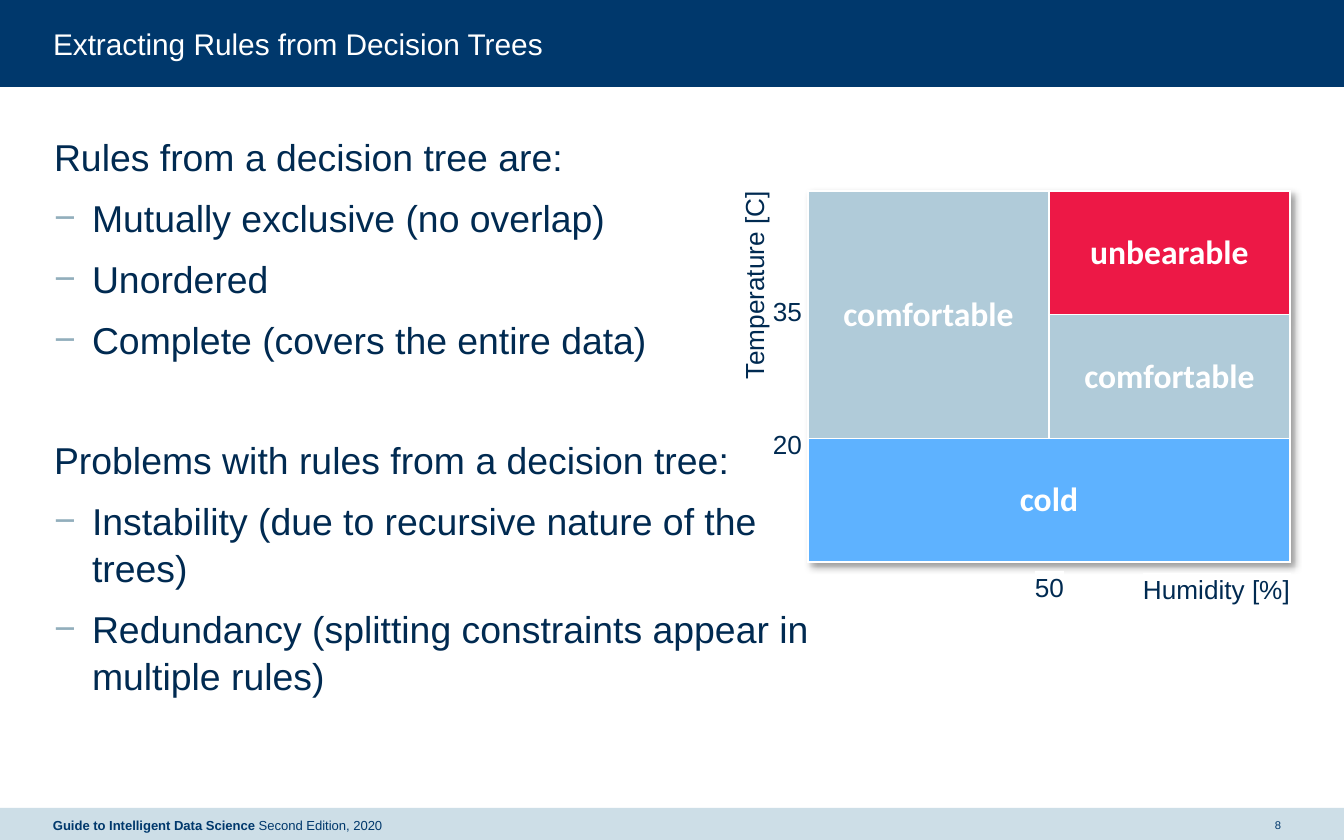
from lxml.etree import SubElement
from pptx import Presentation
from pptx.dml.color import RGBColor
from pptx.enum.shapes import MSO_SHAPE
from pptx.enum.text import MSO_ANCHOR, MSO_AUTO_SIZE, PP_ALIGN
from pptx.oxml import parse_xml
from pptx.oxml.ns import nsdecls, qn
from pptx.util import Pt

EMU_PER_PX = 914400 / 134.4
COLORS = {
    "navy": "00386C", "pale": "CDDEE7", "text": "002A51", "bullet": "92AEBC",
    "white": "FFFFFF", "comfortable": "B0CBD9", "unbearable": "ED1846", "cold": "5EB2FF",
}


def px(*values):
    return [round(value * EMU_PER_PX) for value in values]


def add_run(paragraph, text, size, color, bold=False, font="Arial"):
    run = paragraph.add_run()
    run.text = text
    run.font.name = font
    run.font.size = Pt(size)
    run.font.bold = bold
    run.font.color.rgb = RGBColor.from_string(COLORS[color])


presentation = Presentation()
presentation.slide_width, presentation.slide_height = px(1344, 840)
slide = presentation.slides.add_slide(presentation.slide_layouts[1])
shapes = slide.shapes
title, body = shapes.title, slide.placeholders[1]

# Header and footer bars, behind everything else
for top, height, color in [(0, 87, "navy"), (808, 32, "pale")]:
    bar = shapes.add_shape(MSO_SHAPE.RECTANGLE, *px(0, top, 1344, height))
    bar.shadow.inherit = False
    bar.fill.solid()
    bar.fill.fore_color.rgb = RGBColor.from_string(COLORS[color])
    bar.line.fill.background()
    shapes._spTree.insert(2, bar._element)

# Title and body placeholders
for placeholder, box in [(title, (53, 26, 1239, 36)), (body, (53, 132, 782, 633))]:
    placeholder.left, placeholder.top, placeholder.width, placeholder.height = px(*box)
    frame = placeholder.text_frame
    frame.margin_left = frame.margin_top = frame.margin_right = frame.margin_bottom = 0
    frame.vertical_anchor = MSO_ANCHOR.TOP
    frame.auto_size = MSO_AUTO_SIZE.NONE
    frame.word_wrap = True
heading = title.text_frame.paragraphs[0]
heading.alignment = PP_ALIGN.LEFT
add_run(heading, "Extracting Rules from Decision Trees", 16, "white")

# Body: (text, is a list item, space before in points)
lines = [
    ("Rules from a decision tree are:", False, 7.5),
    ("Mutually exclusive (no overlap)", True, 7.5),
    ("Unordered", True, 7.5),
    ("Complete (covers the entire data)", True, 7.5),
    ("Problems with rules from a decision tree:", False, 39),
    ("Instability (due to recursive nature of the trees)", True, 7.5),
    ("Redundancy (splitting constraints appear in multiple rules)", True, 7.5),
]
for index, (text, is_item, space_before) in enumerate(lines):
    frame = body.text_frame
    paragraph = frame.add_paragraph() if index else frame.paragraphs[0]
    paragraph.space_before = Pt(space_before)
    paragraph.line_spacing = 1.05
    properties = paragraph._p.get_or_add_pPr()
    margin, indent = px(39, -38) if is_item else px(1, 0)
    properties.set("marL", str(margin))
    properties.set("indent", str(indent))
    if is_item:
        bullet_color = SubElement(properties, qn("a:buClr"))
        SubElement(bullet_color, qn("a:srgbClr"), val=COLORS["bullet"])
        SubElement(properties, qn("a:buFont"), typeface="Arial")
        SubElement(properties, qn("a:buChar"), char="−")
    else:
        SubElement(properties, qn("a:buNone"))
    add_run(paragraph, text, 20, "text")

# Footer: book title and slide number
footers = [
    ((53, 808, 590, 34), PP_ALIGN.LEFT, 7,
     [("Guide to Intelligent Data Science ", True), ("Second Edition, 2020", False)]),
    ((1265, 808, 26, 34), PP_ALIGN.CENTER, 6, [("8", False)]),
]
for box, alignment, size, runs in footers:
    frame = shapes.add_textbox(*px(*box)).text_frame
    frame.margin_left = frame.margin_top = frame.margin_right = frame.margin_bottom = 0
    frame.vertical_anchor = MSO_ANCHOR.MIDDLE
    frame.word_wrap = True
    frame.paragraphs[0].alignment = alignment
    for text, bold in runs:
        add_run(frame.paragraphs[0], text, size, "navy", bold)

# Table of decision regions, with a soft shadow
table = shapes.add_table(3, 2, *px(808, 191, 482, 371)).table
table.first_row = table.horz_banding = False
table._tbl.tblPr.insert(0, parse_xml(
    f'<a:effectLst {nsdecls("a")}><a:outerShdw blurRad="50800" dist="38100" dir="2700000" '
    'algn="tl" rotWithShape="0"><a:srgbClr val="000000"><a:alpha val="40000"/></a:srgbClr>'
    '</a:outerShdw></a:effectLst>'))
table.cell(0, 0).merge(table.cell(1, 0))
table.cell(2, 0).merge(table.cell(2, 1))
regions = [["comfortable", "unbearable"], ["comfortable", "comfortable"], ["cold", "cold"]]
for row, names in enumerate(regions):
    for column, name in enumerate(names):
        cell = table.cell(row, column)
        for side in ("lnL", "lnR", "lnT", "lnB"):
            border = SubElement(cell._tc.get_or_add_tcPr(), qn(f"a:{side}"), w=str(Pt(1)))
            SubElement(SubElement(border, qn("a:solidFill")), qn("a:srgbClr"), val=COLORS["white"])
        cell.fill.solid()
        cell.fill.fore_color.rgb = RGBColor.from_string(COLORS[name])
        cell.vertical_anchor = MSO_ANCHOR.MIDDLE
        if not cell.is_spanned:
            cell.text_frame.paragraphs[0].alignment = PP_ALIGN.CENTER
            add_run(cell.text_frame.paragraphs[0], name, 18, "white", True, "Calibri")

# Axis labels: (text, left, top, width, rotation)
labels = [
    ("50", 1035, 571, 29, 0),
    ("Temperature [C]", 660, 269, 188, 270),
    ("Humidity [%]", 1143, 573, 148, 0),
    ("20", 773, 428, 29, 0),
    ("35", 773, 295, 29, 0),
]
for text, left, top, width, rotation in labels:
    label = shapes.add_shape(MSO_SHAPE.RECTANGLE, *px(left, top, width, 32))
    label.rotation = rotation
    label.shadow.inherit = False
    label.fill.solid()
    label.fill.fore_color.rgb = RGBColor.from_string(COLORS["white"])
    label.line.fill.background()
    frame = label.text_frame
    frame.margin_left = frame.margin_top = frame.margin_right = frame.margin_bottom = 0
    frame.vertical_anchor = MSO_ANCHOR.TOP
    frame.word_wrap = False
    frame.paragraphs[0].alignment = PP_ALIGN.LEFT
    add_run(frame.paragraphs[0], text, 14, "text")

presentation.save("out.pptx")
